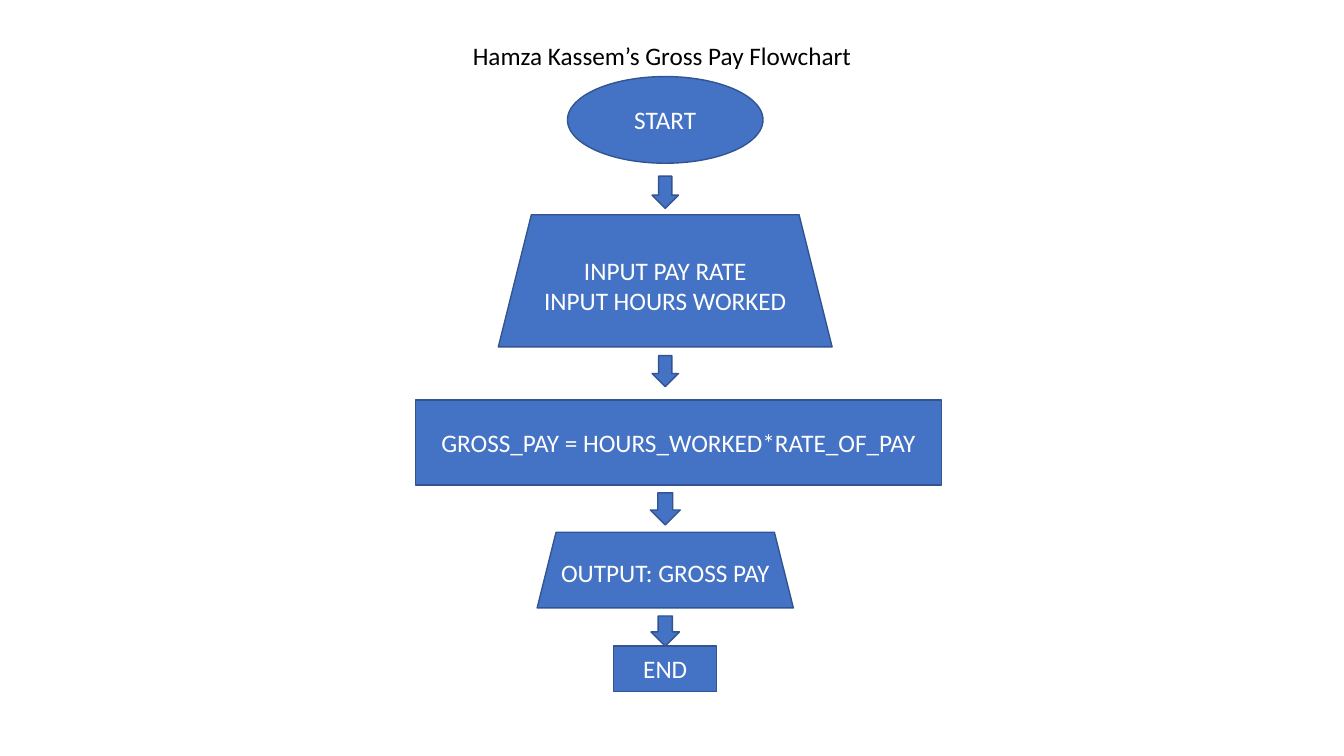
from dataclasses import dataclass

from pptx import Presentation
from pptx.dml.color import RGBColor
from pptx.enum.shapes import MSO_SHAPE
from pptx.enum.text import MSO_ANCHOR, MSO_AUTO_SIZE, PP_ALIGN
from pptx.util import Pt

OVAL = MSO_SHAPE.OVAL
TRAPEZOID = MSO_SHAPE.TRAPEZOID
RECTANGLE = MSO_SHAPE.RECTANGLE
DOWN_ARROW = MSO_SHAPE.DOWN_ARROW
LEFT, CENTER = PP_ALIGN.LEFT, PP_ALIGN.CENTER
TOP, MIDDLE = MSO_ANCHOR.TOP, MSO_ANCHOR.MIDDLE
NO_AUTOFIT = MSO_AUTO_SIZE.NONE
TITLE_ONLY = 5


@dataclass(frozen=True)
class Theme:
    font: str = "Calibri"
    size: float = 18
    line_width: float = 1
    fill: RGBColor = RGBColor(0x44, 0x72, 0xC4)
    outline: RGBColor = RGBColor(0x32, 0x54, 0x91)
    title: RGBColor = RGBColor(0, 0, 0)
    label: RGBColor = RGBColor(0xFF, 0xFF, 0xFF)


THEME = Theme()
AXIS = 475.2  # centre line of the flow, in points

# shape, centre x, top, width, height, lines of text
STEPS = [
    (OVAL, AXIS, 54.7, 139.7, 61.9, ["START"]),
    (TRAPEZOID, AXIS, 153.4, 238.4, 94.4, ["INPUT PAY RATE", "INPUT HOURS WORKED"]),
    (RECTANGLE, 484.6, 285.8, 375.8, 60.6, ["GROSS_PAY = HOURS_WORKED*RATE_OF_PAY"]),
    (TRAPEZOID, AXIS, 380.2, 183, 54, ["OUTPUT: GROSS PAY"]),
    (RECTANGLE, AXIS, 461.5, 73.6, 32.4, ["END"]),
]

# top, width, height
ARROWS = [
    (125.8, 18.8, 23),
    (254, 18.8, 22.2),
    (352, 21.4, 23),
    (440, 20.4, 21.6),
]


def write_lines(frame, lines, color, alignment):
    for index, line in enumerate(lines):
        para = frame.add_paragraph() if index else frame.paragraphs[0]
        para.alignment = alignment
        span = para.add_run()
        span.text = line
        span.font.name = THEME.font
        span.font.size = Pt(THEME.size)
        span.font.color.rgb = color


def place_title(page, text):
    title = page.shapes.title
    title.left, title.top = Pt(330.5), Pt(25.2)
    title.width, title.height = Pt(289.4), Pt(29)
    frame = title.text_frame
    frame.word_wrap = False
    frame.auto_size = NO_AUTOFIT
    frame.vertical_anchor = TOP
    write_lines(frame, [text], THEME.title, LEFT)


def add_block(page, kind, center, top, width, height):
    """Add a filled, outlined shape centred on the given x."""
    block = page.shapes.add_shape(
        kind, Pt(center - width / 2), Pt(top), Pt(width), Pt(height))
    block.shadow.inherit = False
    block.fill.solid()
    block.fill.fore_color.rgb = THEME.fill
    block.line.color.rgb = THEME.outline
    block.line.width = Pt(THEME.line_width)
    return block


def add_step(page, kind, center, top, width, height, lines):
    frame = add_block(page, kind, center, top, width, height).text_frame
    frame.word_wrap = True
    frame.vertical_anchor = MIDDLE
    write_lines(frame, lines, THEME.label, CENTER)


def main():
    deck = Presentation()
    deck.slide_width, deck.slide_height = Pt(960), Pt(540)
    page = deck.slides.add_slide(deck.slide_layouts[TITLE_ONLY])
    place_title(page, "Hamza Kassem’s Gross Pay Flowchart")
    for step in STEPS:
        add_step(page, *step)
    for arrow in ARROWS:
        add_block(page, DOWN_ARROW, AXIS, *arrow)
    deck.save("out.pptx")


if __name__ == "__main__":
    main()
